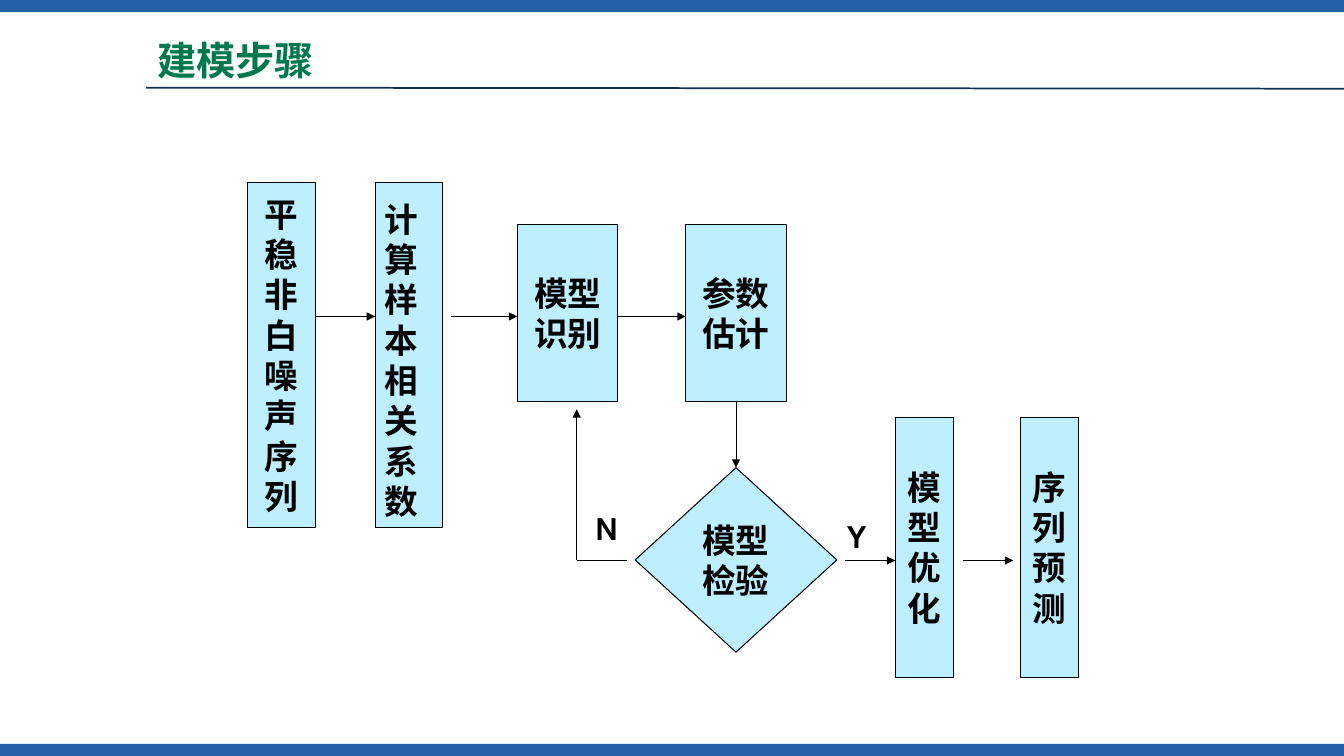
import pptx
import pptx.util
import pptx.dml.color
import pptx.enum.shapes
import pptx.enum.text
import pptx.oxml
import pptx.oxml.ns

Inches, Pt = pptx.util.Inches, pptx.util.Pt
Kind = pptx.enum.shapes.MSO_SHAPE
Align = pptx.enum.text.PP_ALIGN
Anchor = pptx.enum.text.MSO_ANCHOR

# Content: kind, lines of text, left, width, row
title = "建模步骤"
steps = [
    ("tall", "平稳非白噪声序列", 2.46, 0.67),
    ("left", "计算样本相关系数", 3.72, 0.67),
    ("wide", ["模型", "识别"], 5.13, 1),
    ("wide", ["参数", "估计"], 6.8, 1),
    ("test", ["模型", "检验"], 6.3, 2),
    ("low", "模型优化", 8.88, 0.58),
    ("low", "序列预测", 10.12, 0.58),
]
labels = [("Y", 8.3, 5.06), ("N", 5.8, 4.98)]

# Top and height of each kind of step
rows = {
    "tall": (1.81, 3.42),
    "left": (1.81, 3.42),
    "wide": (2.23, 1.75),
    "test": (4.64, 1.83),
    "low": (4.14, 2.58),
}

# Arrows run along two levels: from x, from y, to x, to y, has head
high, deep = 3.14, 5.56
links = [
    (3.13, high, 3.72, high, True),
    (4.47, high, 5.13, high, True),
    (6.13, high, 6.8, high, True),
    (7.3, 3.98, 7.3, 4.64, True),
    (8.38, deep, 8.88, deep, True),
    (9.55, deep, 10.05, deep, True),
    (5.72, deep, 6.22, deep, False),
    (5.72, deep, 5.72, 4.06, True),
]

theme = {
    "bar": "2261A6", "title": "00784D", "rule": "113153",
    "box": "BDEFFF", "ink": "000000",
    "head": 28, "body": 24, "thin": 0.75, "thick": 1.25,
    "font": "Karla", "han": "Noto Sans CJK SC",
}

wide, tall, band = 13.33, 7.5, 0.12

deck = pptx.Presentation()
deck.slide_width, deck.slide_height = Inches(wide), Inches(tall)
slide = deck.slides.add_slide(deck.slide_layouts[5])


def tint(name):
    return pptx.dml.color.RGBColor.from_string(theme[name])


def write(para, text, size, font, color):
    run = para.add_run()
    run.text = text
    run.font.size = Pt(theme[size])
    run.font.bold = True
    run.font.name = theme[font]
    run.font.color.rgb = tint(color)
    east = pptx.oxml.parse_xml(
        f'<a:ea {pptx.oxml.ns.nsdecls("a")} typeface="{theme[font]}"/>')
    run.font.fill  # colour stays ahead of the typefaces
    run.font._element.find(pptx.oxml.ns.qn("a:latin")).addnext(east)


def block(kind, left, top, width, height, fill, edge=None):
    shape = slide.shapes.add_shape(
        kind, Inches(left), Inches(top), Inches(width), Inches(height))
    shape.shadow.inherit = False
    shape.fill.solid()
    shape.fill.fore_color.rgb = tint(fill)
    if edge:
        shape.line.color.rgb = tint(edge)
        shape.line.width = Pt(theme["thin"])
    else:
        shape.line.fill.background()
    return shape


def link(x, y, to_x, to_y, color, width, head):
    line = slide.shapes.add_connector(
        pptx.enum.shapes.MSO_CONNECTOR.STRAIGHT,
        Inches(x), Inches(y), Inches(to_x), Inches(to_y))
    line.line.color.rgb = tint(color)
    line.line.width = Pt(theme[width])
    space = pptx.oxml.ns.nsdecls("a")
    if head:
        line.line._get_or_add_ln().append(
            pptx.oxml.parse_xml(f'<a:tailEnd {space} type="triangle"/>'))
    line._element.spPr.append(pptx.oxml.parse_xml(f"<a:effectLst {space}/>"))


# Bars at the slide edges
for top in (tall - band, 0):
    block(Kind.RECTANGLE, 0, top, wide, band, "bar")

# Title and its rule
head = slide.shapes.title
head.left, head.top = Inches(1.46), Inches(0.21)
head.width, head.height = Inches(11.14), Inches(0.76)
head.text_frame.vertical_anchor = Anchor.MIDDLE
para = head.text_frame.paragraphs[0]
para.alignment = Align.LEFT
write(para, title, "head", "han", "title")
link(1.45, 0.87, wide, 0.88, "rule", "thick", False)

# Steps
for kind, lines, left, width in steps:
    top, height = rows[kind]
    form = Kind.DIAMOND if kind == "test" else Kind.RECTANGLE
    shape = block(form, left, top, width, height, "box", "ink")
    frame = shape.text_frame
    frame.vertical_anchor = Anchor.MIDDLE
    frame.word_wrap = kind == "left"
    if kind == "left":
        frame.margin_right = 0
        frame.margin_top = Inches(0.15)
    for i, text in enumerate(lines):
        para = frame.add_paragraph() if i else frame.paragraphs[0]
        para.alignment = Align.LEFT if kind == "left" else Align.CENTER
        write(para, text, "body", "font", "ink")

# Arrows
for x, y, to_x, to_y, tip in links:
    link(x, y, to_x, to_y, "ink", "thin", tip)

# Branch labels
for text, left, top in labels:
    note = slide.shapes.add_textbox(
        Inches(left), Inches(top), Inches(0.42), Inches(0.5))
    note.text_frame.word_wrap = True
    write(note.text_frame.paragraphs[0], text, "body", "font", "ink")

deck.save("out.pptx")
